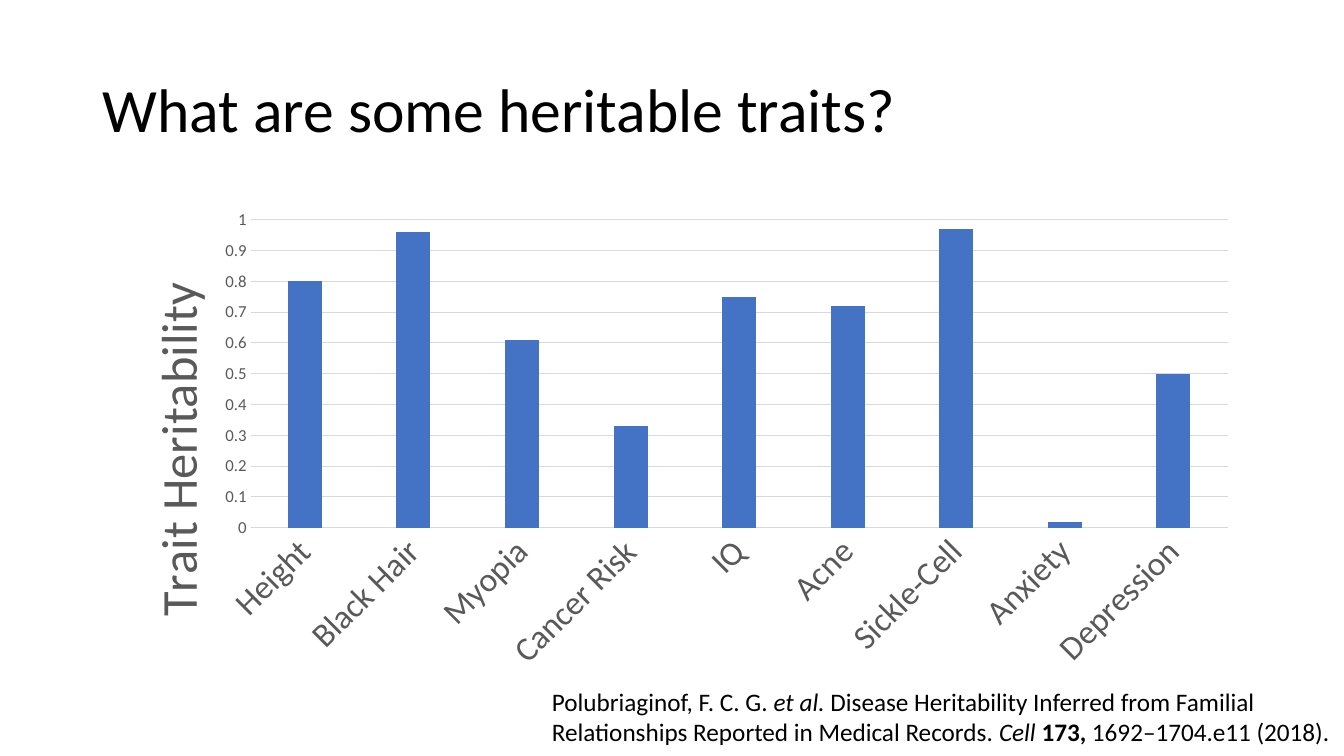
import pptx
import pptx.chart.data
import pptx.dml.color
import pptx.enum.chart
import pptx.enum.text
import pptx.oxml
import pptx.oxml.ns
import pptx.util
from dataclasses import dataclass

SCALE = 914400 / 100.8


@dataclass(frozen=True)
class Theme:
    font: str = "Calibri"
    ink: str = "000000"
    grey: str = "595959"
    rule: str = "D9D9D9"
    bar: str = "4472C4"
    head: int = 44
    label: int = 36
    trait: int = 24
    cite: int = 18
    tick: int = 12
    base: int = 10


THEME = Theme()

TRAITS = {
    "Height": 0.8,
    "Black Hair": 0.96,
    "Myopia": 0.61,
    "Cancer Risk": 0.33,
    "IQ": 0.75,
    "Acne": 0.72,
    "Sickle-Cell": 0.97,
    "Anxiety": 0.02,
    "Depression": 0.5,
}

# Each part: wording, italic, bold
CITE = [
    ("Polubriaginof, F. C. G. ", False, False),
    ("et al.", True, False),
    (" Disease Heritability Inferred from Familial Relationships "
     "Reported in Medical Records. ", False, False),
    ("Cell ", True, False),
    ("173,", False, True),
    (" 1692–1704.e11 (2018).", False, False),
]


def px(n):
    return pptx.util.Emu(round(n * SCALE))


def style(font, size, color, italic=False, bold=False):
    font.name = THEME.font
    font.size = pptx.util.Pt(size)
    font.color.rgb = pptx.dml.color.RGBColor.from_string(color)
    font.italic = italic
    font.bold = bold


def rule(line):
    line.color.rgb = pptx.dml.color.RGBColor.from_string(THEME.rule)
    line.width = pptx.util.Pt(0.75)


def add_text(slide, box):
    frame = slide.shapes.add_textbox(*map(px, box)).text_frame
    frame.word_wrap = True
    return frame


def add_head(slide, box):
    frame = add_text(slide, box)
    frame.vertical_anchor = pptx.enum.text.MSO_ANCHOR.MIDDLE
    frame.text = "What are some heritable traits?"
    para = frame.paragraphs[0]
    para.line_spacing = 0.9
    style(para.runs[0].font, THEME.head, THEME.ink)


def add_cite(slide, box):
    para = add_text(slide, box).paragraphs[0]
    for words, italic, bold in CITE:
        run = para.add_run()
        run.text = words
        style(run.font, THEME.cite, THEME.ink, italic, bold)


def set_place(node, index, **parts):
    """Give a chart part a manual layout; index is where the layout belongs."""
    old = node.find(pptx.oxml.ns.qn("c:layout"))
    if old is not None:
        node.remove(old)
    body = "".join(f'<c:{key} val="{val}"/>' for key, val in parts.items())
    node.insert(index, pptx.oxml.parse_xml(
        f'<c:layout {pptx.oxml.ns.nsdecls("c")}>'
        f"<c:manualLayout>{body}</c:manualLayout></c:layout>"))


def set_turn(body, degrees):
    body.set("rot", str(degrees * 60000))
    body.set("vert", "horz")


def add_bars(slide, box):
    data = pptx.chart.data.CategoryChartData()
    data.categories = list(TRAITS)
    data.add_series("Series 1", list(TRAITS.values()))
    kind = pptx.enum.chart.XL_CHART_TYPE.COLUMN_CLUSTERED
    chart = slide.shapes.add_chart(kind, *map(px, box), data).chart
    chart.has_title = False
    chart.has_legend = False
    style(chart.font, THEME.base, THEME.ink)

    plot = chart.plots[0]
    plot.gap_width = 219
    plot.overlap = -27
    plot.vary_by_categories = False
    fill = plot.series[0].format.fill
    fill.solid()
    fill.fore_color.rgb = pptx.dml.color.RGBColor.from_string(THEME.bar)

    cat, val = chart.category_axis, chart.value_axis
    for axis, size in ((cat, THEME.trait), (val, THEME.tick)):
        axis.major_tick_mark = pptx.enum.chart.XL_TICK_MARK.NONE
        axis.minor_tick_mark = pptx.enum.chart.XL_TICK_MARK.NONE
        style(axis.tick_labels.font, size, THEME.grey)
    rule(cat.format.line)
    set_turn(cat._element.find(".//" + pptx.oxml.ns.qn("a:bodyPr")), -45)
    val.minimum_scale, val.maximum_scale, val.major_unit = 0, 1, 0.1
    val.has_major_gridlines = True
    rule(val.major_gridlines.format.line)
    val.format.line.fill.background()

    title = val.axis_title
    title.text_frame.text = "Trait Heritability"
    style(title.text_frame.paragraphs[0].runs[0].font,
          THEME.label, THEME.grey)
    set_turn(title.text_frame._txBody.bodyPr, -90)

    wide, high = box[2:]
    set_place(title._element, 1, xMode="edge", yMode="edge",
              x=round(40 / wide, 3), y=round(72 / high, 3))
    set_place(chart._chartSpace.chart.plotArea, 0, layoutTarget="inner",
              xMode="edge", yMode="edge",
              x=round(158 / wide, 3), y=round(18 / high, 3),
              w=round(977 / wide, 3), h=round(308 / high, 3))


def main():
    deck = pptx.Presentation()
    deck.slide_width, deck.slide_height = px(1344), px(756)
    slide = deck.slides.add_slide(deck.slide_layouts[6])
    add_head(slide, (93, 40, 1159, 146))
    add_bars(slide, (93, 202, 1159, 480))
    add_cite(slide, (542, 681, 821, 102))
    deck.save("out.pptx")


if __name__ == "__main__":
    main()
